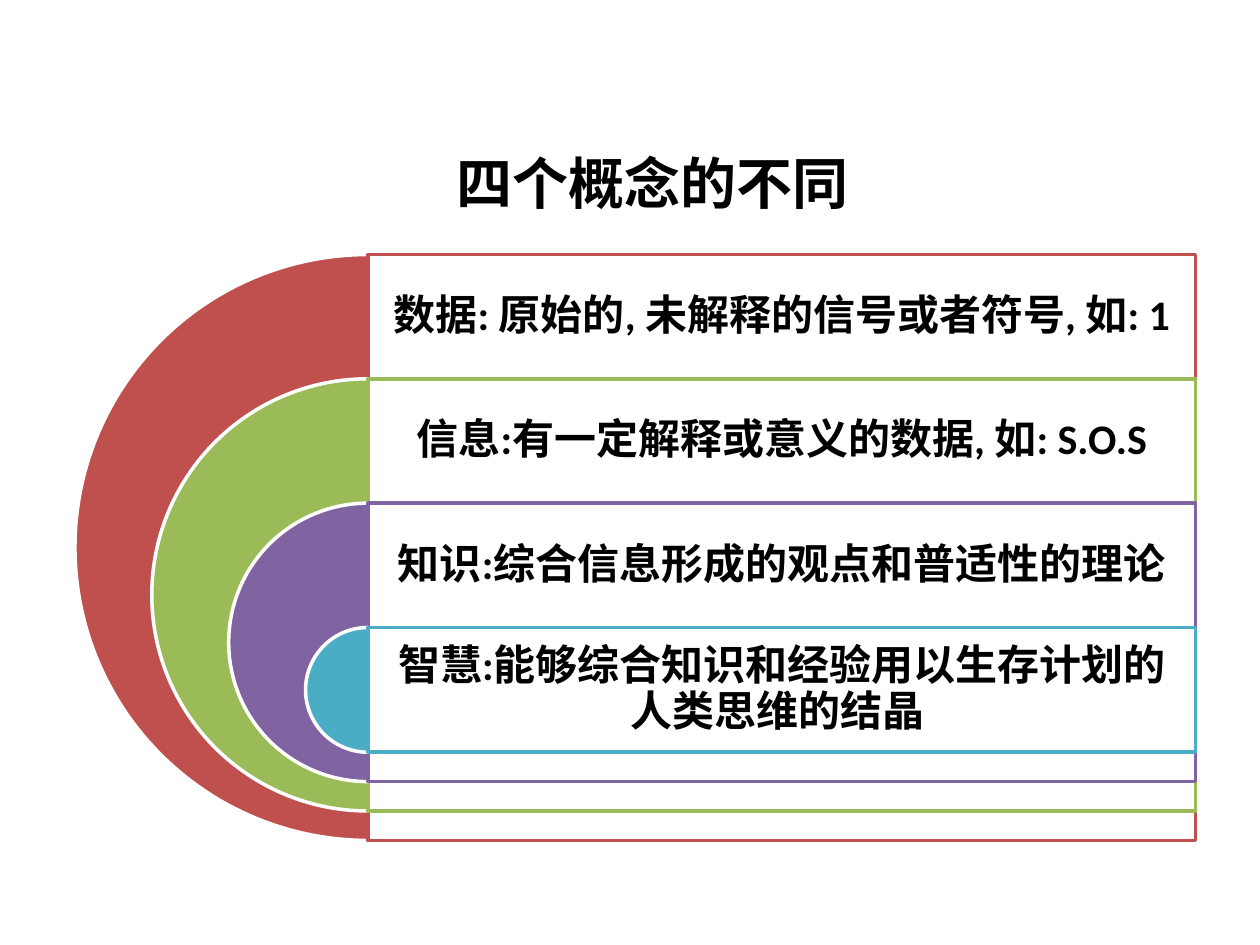
from dataclasses import dataclass

from lxml import etree
from pptx import Presentation
from pptx import util as u
from pptx.dml.color import RGBColor
from pptx.enum import shapes, text
from pptx.oxml.ns import qn

CJK_FONT = "Noto Sans CJK SC"
WHITE, BLACK = "FFFFFF", "000000"


@dataclass
class Concept:
    label: str
    color: str


CONCEPTS = [
    Concept("数据: 原始的, 未解释的信号或者符号, 如: 1", "C0504D"),
    Concept("信息:有一定解释或意义的数据, 如: S.O.S", "9BBB59"),
    Concept("知识:综合信息形成的观点和普适性的理论", "8064A2"),
    Concept("智慧:能够综合知识和经验用以生存计划的人类思维的结晶 ", "4BACC6"),
]

# Nested layers: each starts one row lower and is smaller by a fixed step
AXIS_X, FIRST_TOP, LAST_TOP = 2.92, 2.02, 4.98
ROW_PITCH = (LAST_TOP - FIRST_TOP) / (len(CONCEPTS) - 1)
ROW_HEIGHT, PANEL_WIDTH = 0.99, 6.57
FIRST_SIZE, SIZE_STEP = 4.65, 1.22


def rgb(color: str) -> RGBColor:
    return RGBColor.from_string(color)


def add_layer_shape(page, kind, left: float, top: float, width: float,
                    height: float, fill: str, line: str):
    shape = page.shapes.add_shape(kind, u.Inches(left), u.Inches(top),
                                  u.Inches(width), u.Inches(height))
    shape.shadow.inherit = False
    shape.fill.solid()
    shape.fill.fore_color.rgb = rgb(fill)
    shape.line.color.rgb = rgb(line)
    shape.line.width = u.Pt(2)
    return shape


def add_label(page, label: str, left: float, top: float, width: float,
              height: float, size: int, font_name: str,
              inset: float, spacing: float) -> None:
    box = page.shapes.add_textbox(u.Inches(left), u.Inches(top),
                                  u.Inches(width), u.Inches(height))
    frame = box.text_frame
    frame.word_wrap = True
    frame.vertical_anchor = text.MSO_ANCHOR.MIDDLE
    frame.margin_left = frame.margin_right = u.Inches(inset)
    frame.margin_top = frame.margin_bottom = u.Inches(inset)
    para = frame.paragraphs[0]
    para.text = label
    para.alignment = text.PP_ALIGN.CENTER
    para.line_spacing = spacing
    font = para.font
    font.size = u.Pt(size)
    font.bold = True
    font.color.rgb = rgb(BLACK)
    font.name = font_name
    # East Asian typeface follows the Latin one
    defaults = para._p.pPr.find(qn("a:defRPr"))
    etree.SubElement(defaults, qn("a:ea"), typeface=CJK_FONT)


def add_concept(page, concept: Concept, index: int) -> None:
    top = FIRST_TOP + index * ROW_PITCH
    size = FIRST_SIZE - index * SIZE_STEP

    # Left half disc
    disc = add_layer_shape(page, shapes.MSO_SHAPE.PIE, AXIS_X - size / 2, top,
                           size, size, concept.color, WHITE)
    disc.adjustments[0] = 54
    disc.adjustments[1] = 162

    # Outlined panel, slightly transparent
    panel = add_layer_shape(page, shapes.MSO_SHAPE.RECTANGLE, AXIS_X, top,
                            PANEL_WIDTH, size, WHITE, concept.color)
    fill_color = panel._element.spPr.find(qn("a:solidFill"))[0]
    etree.SubElement(fill_color, qn("a:alpha"), val="90000")

    add_label(page, concept.label, AXIS_X, top, PANEL_WIDTH, ROW_HEIGHT,
              size=24, font_name="Calibri", inset=0.1, spacing=0.9)


def main() -> None:
    deck = Presentation()
    deck.slide_width, deck.slide_height = u.Inches(10), u.Inches(7.5)
    page = deck.slides.add_slide(deck.slide_layouts[6])

    # Title
    add_label(page, "四个概念的不同", 3.17, 1.16, 4.02, 0.57,
              size=32, font_name=CJK_FONT, inset=0, spacing=1.0)

    # Nested concepts, outermost first
    for index, concept in enumerate(CONCEPTS):
        add_concept(page, concept, index)

    deck.save("out.pptx")


if __name__ == "__main__":
    main()
